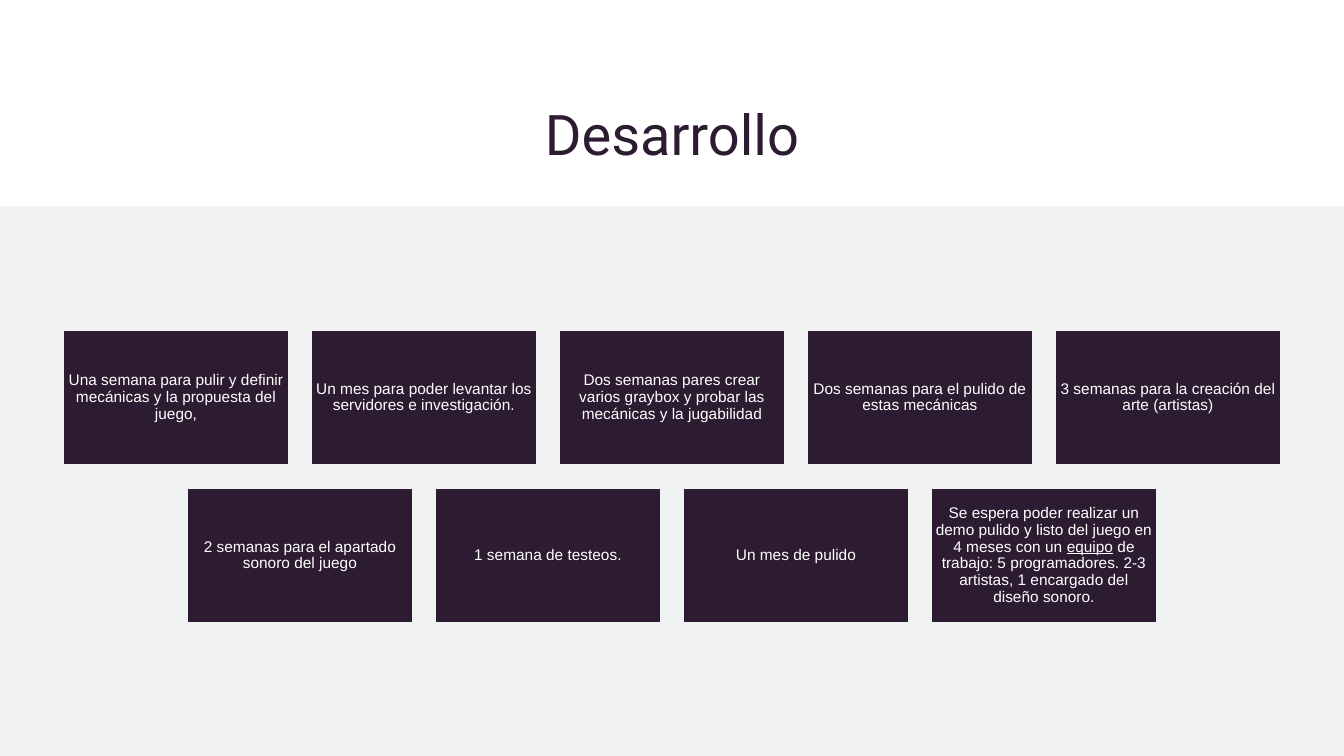
from dataclasses import dataclass
from typing import NamedTuple

from pptx import Presentation
from pptx.dml.color import RGBColor
from pptx.enum.shapes import MSO_SHAPE as Shape
from pptx.enum.text import MSO_ANCHOR as Anchor, PP_ALIGN as Align
from pptx.util import Emu, Pt

EMU_PER_PX = 914400 / 100.8


@dataclass(frozen=True)
class Theme:
    white: str = "FFFFFF"
    pale: str = "F0F3F2"
    plum: str = "2D1B31"
    title_font: str = "Roboto"
    body_font: str = "Arial"
    title_size: int = 40
    body_size: int = 11


class Box(NamedTuple):
    left: int
    top: int
    width: int
    height: int


THEME = Theme()
PAGE = Box(0, 0, 1344, 756)
TITLE = Box(157, 78, 1030, 110)
PANEL = Box(0, 206, 1344, 550)
COLUMNS, CARD_GAP = 5, 22
CARD_INSET = 4

# Each step is a list of (words, underlined) spans
STEPS = [
    [("Una semana para pulir y definir mecánicas y la propuesta del juego,", False)],
    [("Un mes para poder levantar los servidores e investigación.", False)],
    [("Dos semanas pares crear varios graybox y probar las mecánicas y la jugabilidad", False)],
    [("Dos semanas para el pulido de estas mecánicas", False)],
    [("3 semanas para la creación del arte (artistas)", False)],
    [("2 semanas para el apartado sonoro del juego", False)],
    [("1 semana de testeos.", False)],
    [("Un mes de pulido", False)],
    [("Se espera poder realizar un demo pulido y listo del juego en 4 meses con un ", False),
     ("equipo", True),
     (" de trabajo: 5 programadores. 2-3 artistas, 1 encargado del diseño sonoro.", False)],
]


def px(length):
    return Emu(round(length * EMU_PER_PX))


def place(box):
    return [px(length) for length in box]


def color(value):
    return RGBColor.from_string(value)


def write(shape, spans, *, font, size, ink, inset=0, line_spacing=1.0):
    frame = shape.text_frame
    frame.word_wrap = True
    frame.vertical_anchor = Anchor.MIDDLE
    frame.margin_left = frame.margin_right = px(inset)
    frame.margin_top = frame.margin_bottom = px(inset)
    para = frame.paragraphs[0]
    para.alignment = Align.CENTER
    para.line_spacing = line_spacing
    for words, underlined in spans:
        span = para.add_run()
        span.text = words
        span.font.name = font
        span.font.size = Pt(size)
        span.font.color.rgb = color(ink)
        if underlined:
            span.font.underline = True


def add_rectangle(page, box, fill, outline=None):
    rectangle = page.shapes.add_shape(Shape.RECTANGLE, *place(box))
    rectangle.shadow.inherit = False
    rectangle.fill.solid()
    rectangle.fill.fore_color.rgb = color(fill)
    if outline:
        rectangle.line.color.rgb = color(outline)
        rectangle.line.width = Pt(1)
    else:
        rectangle.line.fill.background()
    return rectangle


def add_title(page, box):
    title = page.shapes.add_textbox(*place(box))
    write(title, [("Desarrollo", False)], font=THEME.title_font,
          size=THEME.title_size, ink=THEME.plum)


def add_steps(page, box):
    add_rectangle(page, box, THEME.pale)

    # Rows of cards, each centred in the panel
    width, height = 226, 135
    first_top = box.top + 124
    for start in range(0, len(STEPS), COLUMNS):
        row = STEPS[start:start + COLUMNS]
        row_width = len(row) * (width + CARD_GAP) - CARD_GAP
        left = box.left + (box.width - row_width) // 2
        top = first_top + start // COLUMNS * (height + CARD_GAP + 1)
        for column, spans in enumerate(row):
            card_box = Box(left + column * (width + CARD_GAP), top, width, height)
            card = add_rectangle(page, card_box, THEME.plum, outline=THEME.pale)
            write(card, spans, font=THEME.body_font, size=THEME.body_size,
                  ink=THEME.white, inset=CARD_INSET, line_spacing=0.9)


def main():
    deck = Presentation()
    deck.slide_width, deck.slide_height = px(PAGE.width), px(PAGE.height)
    page = deck.slides.add_slide(deck.slide_layouts[6])
    add_rectangle(page, PAGE, THEME.white)
    add_title(page, TITLE)
    add_steps(page, PANEL)
    deck.save("out.pptx")


if __name__ == "__main__":
    main()
